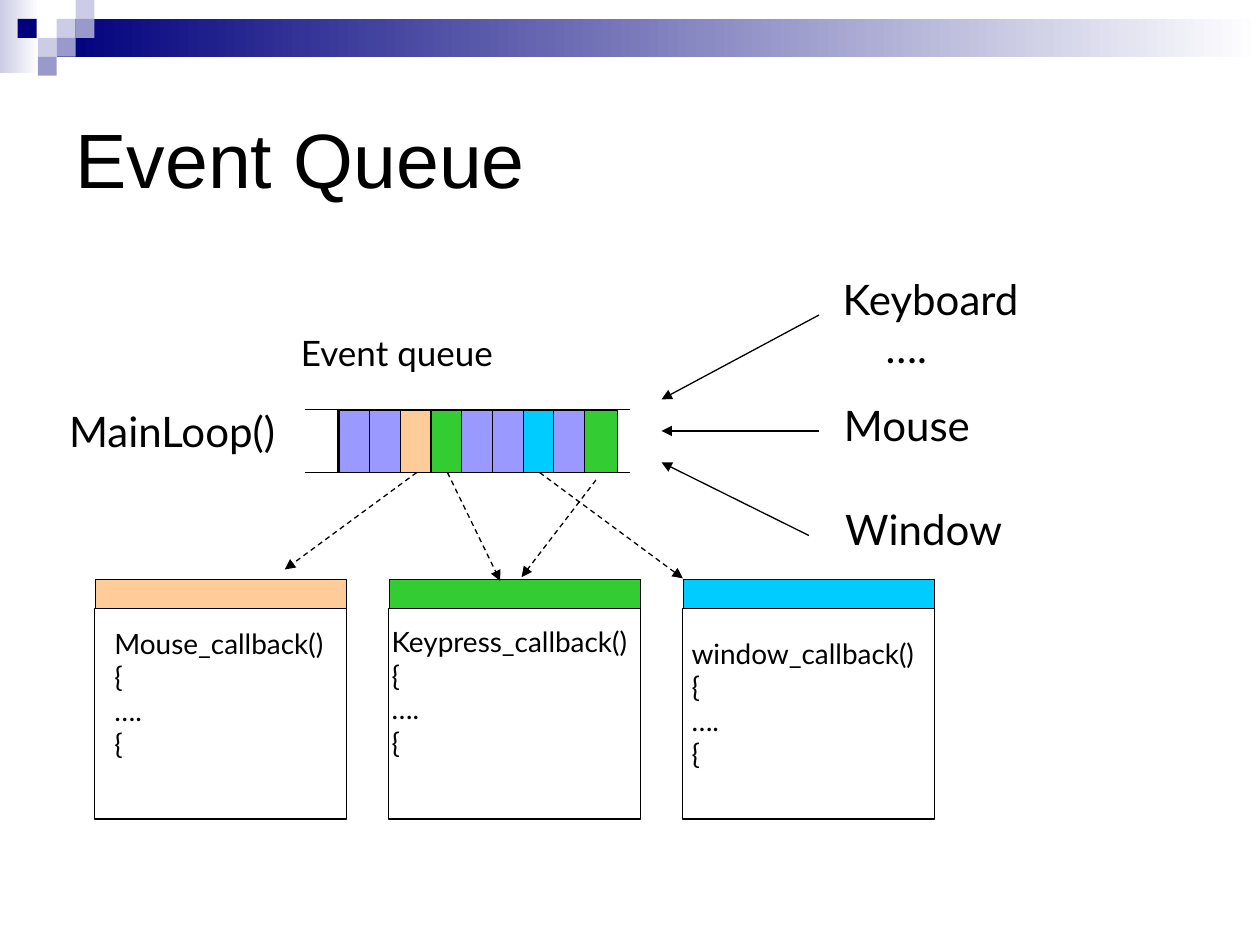
from dataclasses import dataclass

from lxml.etree import SubElement
from pptx import Presentation
from pptx.dml.color import RGBColor
from pptx.enum.dml import MSO_LINE
from pptx.enum.shapes import MSO_CONNECTOR, MSO_SHAPE
from pptx.enum.text import MSO_ANCHOR, PP_ALIGN
from pptx.oxml.ns import qn
from pptx.util import Inches, Pt


@dataclass(frozen=True)
class Theme:
    black: str = "000000"
    white: str = "FFFFFF"
    navy: str = "00007D"
    mist: str = "CCCCE6"
    haze: str = "9999CC"
    idle: str = "9999FF"
    mouse: str = "FFCC99"
    keypress: str = "33CC33"
    window: str = "00CCFF"
    title_font: str = "Arial"
    body_font: str = "Lato"
    title_size: int = 44
    label_size: int = 24
    caption_size: int = 20
    code_size: int = 16
    stroke: float = 0.75


theme = Theme()
deck = Presentation()
deck.slide_width, deck.slide_height = Inches(10), Inches(7.5)
slide = deck.slides.add_slide(deck.slide_layouts[5])
shapes = slide.shapes


def write(holder, text, size, font=theme.body_font, anchor=MSO_ANCHOR.TOP):
    frame = holder.text_frame
    frame.text = text
    frame.word_wrap = True
    frame.vertical_anchor = anchor
    for paragraph in frame.paragraphs:
        paragraph.alignment = PP_ALIGN.LEFT
        paragraph.font.size = Pt(size)
        paragraph.font.name = font
        paragraph.font.color.rgb = RGBColor.from_string(theme.black)


def draw(start, end=None, size=None, fill=None, outlined=True, arrow=False, dashed=False):
    """Draw a line from start to end, or a rectangle of a size at start."""
    if end:
        part = shapes.add_connector(MSO_CONNECTOR.STRAIGHT, *map(Inches, start + end))
        SubElement(part._element.spPr, qn("a:effectLst"))
    else:
        part = shapes.add_shape(MSO_SHAPE.RECTANGLE, *map(Inches, start + size))
        part.shadow.inherit = False
        if isinstance(fill, tuple):
            part.fill.gradient()
            part.fill.gradient_angle = 180
            for stop, color in zip(part.fill.gradient_stops, fill):
                stop.color.rgb = RGBColor.from_string(color)
        elif fill:
            part.fill.solid()
            part.fill.fore_color.rgb = RGBColor.from_string(fill)
        else:
            part.fill.background()
    if not outlined:
        part.line.fill.background()
        return part
    part.line.color.rgb = RGBColor.from_string(theme.black)
    part.line.width = Pt(theme.stroke)
    if dashed:
        part.line.dash_style = MSO_LINE.DASH
    if arrow:
        SubElement(part.line._get_or_add_ln(), qn("a:tailEnd"), type="triangle")
    return part


# Banner
draw((0, 0), size=(0.31, 0.58), fill=(theme.white, theme.mist), outlined=False)
draw((0.45, 0.15), size=(9.55, 0.3), fill=(theme.white, theme.navy), outlined=False)
for left, top, color in [
    (0.45, 0.15, theme.mist), (0.6, 0, theme.mist), (0.6, 0.15, theme.haze),
    (0.3, 0.3, theme.mist), (0.14, 0.15, theme.navy), (0.45, 0.3, theme.haze),
    (0.3, 0.45, theme.haze),
]:
    draw((left, top), size=(0.15, 0.15), fill=color, outlined=False)

title = shapes.title
title.left, title.top, title.width, title.height = map(Inches, (0.5, 0.5, 9, 1.5))
write(title, "Event Queue", theme.title_size, theme.title_font, MSO_ANCHOR.MIDDLE)

# Queue frame with its open ends
queue_top, queue_bottom = 3.25, 3.75
draw((2.68, queue_top), size=(2.11, queue_bottom - queue_top))
for divider in range(9):
    x = 2.94 + divider * (4.63 - 2.94) / 8
    draw((x, queue_top), (x, queue_bottom))
for inner, outer in [(2.68, 2.42), (5, 4.74)]:
    for y in (queue_top, queue_bottom):
        draw((inner, y), (outer, y))

# Queued events
events = [theme.idle, theme.idle, theme.mouse, theme.keypress, theme.idle,
          theme.idle, theme.window, theme.idle, theme.keypress]
cell_pitch = (4.64 - 2.69) / 8
cells = [draw((2.69 + index * cell_pitch, 3.26), size=(0.26, 0.49), fill=color)
         for index, color in enumerate(events)]

# Labels
for text, left, top, width, height, size in [
    ("Event queue", 2.29, 2.58, 1.9, 0.44, theme.caption_size),
    ("Keyboard", 6.59, 2.12, 1.7, 0.5, theme.label_size),
    ("….", 6.93, 2.5, 0.55, 0.5, theme.label_size),
    ("Mouse", 6.6, 3.12, 1.26, 0.5, theme.label_size),
    ("Window", 6.61, 3.95, 1.56, 0.5, theme.label_size),
    ("MainLoop()", 0.45, 3.17, 1.96, 0.5, theme.label_size),
]:
    write(shapes.add_textbox(*map(Inches, (left, top, width, height))), text, size)

# Sources feeding the queue
for source, entry in [((6.5, 2.5), (5.25, 3.17)), ((6.5, 3.42), (5.25, 3.42)),
                      ((6.42, 4.25), (5.25, 3.67))]:
    draw(source, entry, arrow=True)

# Callbacks
for column, (name, color, left, top, width) in enumerate([
    ("Mouse_callback()", theme.mouse, 0.81, 4.92, 2.02),
    ("Keypress_callback()", theme.keypress, 3.01, 4.91, 2.26),
    ("window_callback()", theme.window, 5.39, 5, 2.13),
]):
    box_left = 0.75 + column * 7 / 3
    draw((box_left, 4.83), size=(2, 1.67))
    draw((box_left + 0.01, 4.6), size=(1.99, 0.23), fill=color)
    code = shapes.add_textbox(*map(Inches, (left, top, width, 1.17)))
    write(code, "\n".join([name, "{", "….", "{"]), theme.code_size)

# Dispatch from queued events to callbacks
for index, target in [(3, (3.97, 4.61)), (2, (2.26, 4.52)), (6, (5.42, 4.59))]:
    dispatch = draw((3.5, queue_bottom), target, arrow=True, dashed=True)
    dispatch.begin_connect(cells[index], 2)
draw((4.73, 3.81), (4.14, 4.58), arrow=True, dashed=True)

deck.save("out.pptx")
